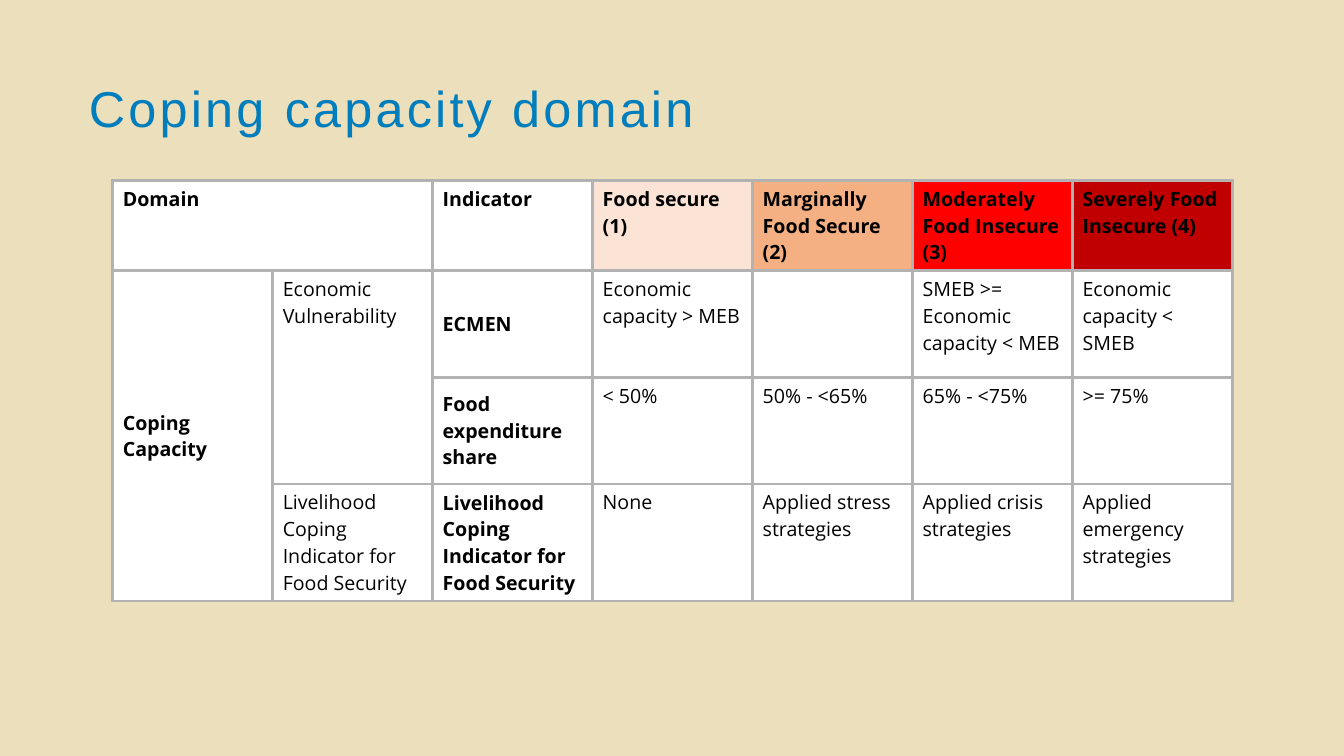
from lxml import etree
from pptx import Presentation
from pptx.dml.color import RGBColor
from pptx.enum.text import MSO_ANCHOR
from pptx.oxml.ns import qn
from pptx.util import Pt

MIDDLE, TOP = MSO_ANCHOR.MIDDLE, MSO_ANCHOR.TOP

TITLE = "Coping capacity domain"
ROWS = [
    ["Domain", "", "Indicator", "Food secure (1)", "Marginally Food Secure (2)",
     "Moderately Food Insecure (3)", "Severely Food Insecure (4)"],
    ["Coping Capacity", "Economic Vulnerability", "ECMEN", "Economic capacity > MEB", "",
     "SMEB >= Economic capacity < MEB", "Economic capacity < SMEB"],
    ["", "", "Food expenditure share", "< 50%", "50% - <65%", "65% - <75%", ">= 75%"],
    ["", "Livelihood Coping Indicator for Food Security",
     "Livelihood Coping Indicator for Food Security", "None", "Applied stress strategies",
     "Applied crisis strategies", "Applied emergency strategies"],
]
MERGES = [((0, 0), (0, 1)), ((1, 0), (3, 0)), ((1, 1), (2, 1))]
HEADER_FILLS = ["FFFFFF", "FFFFFF", "FFFFFF", "FBE4D5", "F4B083", "FF0000", "C00000"]
BOLD_COLUMNS = (0, 2)
ROW_HEIGHTS = [64.4, 76.2, 76.2, 83.6]
COLUMN_WIDTH = 114.28
BORDER_COLOR, BORDER_WIDTH = "B2B2B2", 2.25


def rgb(value):
    return RGBColor.from_string(value)


def add_run(paragraph, text, font_name, size, color, bold=False):
    run = paragraph.add_run()
    run.text = text
    run.font.name = font_name
    run.font.size = Pt(size)
    run.font.bold = bold
    run.font.color.rgb = rgb(color)
    return run


def add_borders(cell):
    properties = cell._tc.get_or_add_tcPr()
    for position, side in enumerate(("a:lnL", "a:lnR", "a:lnT", "a:lnB")):
        line = etree.Element(qn(side), w=str(Pt(BORDER_WIDTH)))
        solid = etree.SubElement(line, qn("a:solidFill"))
        etree.SubElement(solid, qn("a:srgbClr"), val=BORDER_COLOR)
        properties.insert(position, line)


def add_title(slide):
    box = slide.shapes.add_textbox(Pt(56.4), Pt(56.2), Pt(870.5), Pt(51.8))
    frame = box.text_frame
    frame.word_wrap = True
    frame.vertical_anchor = TOP
    paragraph = frame.paragraphs[0]
    paragraph.line_spacing = 0.9
    run = add_run(paragraph, TITLE, "Arial", 36, "007DBC")
    run.font._element.set("spc", "230")


def add_domain_table(slide):
    columns = len(HEADER_FILLS)
    table = slide.shapes.add_table(
        len(ROWS), columns, Pt(80.5), Pt(128.9),
        Pt(COLUMN_WIDTH * columns), Pt(sum(ROW_HEIGHTS))).table
    for column in table.columns:
        column.width = Pt(COLUMN_WIDTH)
    for row, height in zip(table.rows, ROW_HEIGHTS):
        row.height = Pt(height)
    for first, last in MERGES:
        table.cell(*first).merge(table.cell(*last))

    for r, texts in enumerate(ROWS):
        for c, text in enumerate(texts):
            cell = table.cell(r, c)
            header = r == 0
            emphasized = c in BOLD_COLUMNS
            cell.fill.solid()
            cell.fill.fore_color.rgb = rgb(HEADER_FILLS[c] if header else "FFFFFF")
            cell.vertical_anchor = MIDDLE if emphasized and not header else TOP
            add_borders(cell)
            if text:
                add_run(cell.text_frame.paragraphs[0], text, "Open Sans", 14,
                        "000000", header or emphasized)


def main():
    deck = Presentation()
    deck.slide_width, deck.slide_height = Pt(960), Pt(540)
    slide = deck.slides.add_slide(deck.slide_layouts[6])
    slide.background.fill.solid()
    slide.background.fill.fore_color.rgb = rgb("ECDFBB")
    add_title(slide)
    add_domain_table(slide)
    deck.save("out.pptx")


if __name__ == "__main__":
    main()
